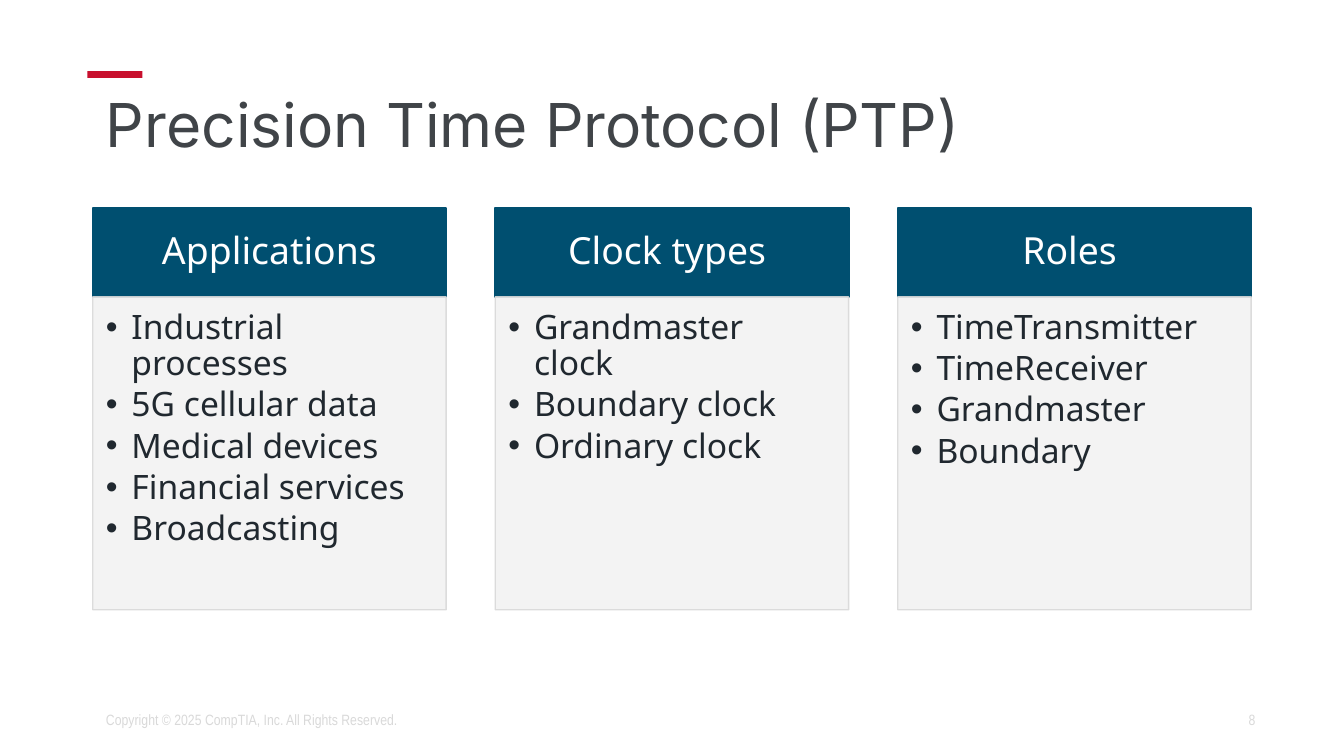
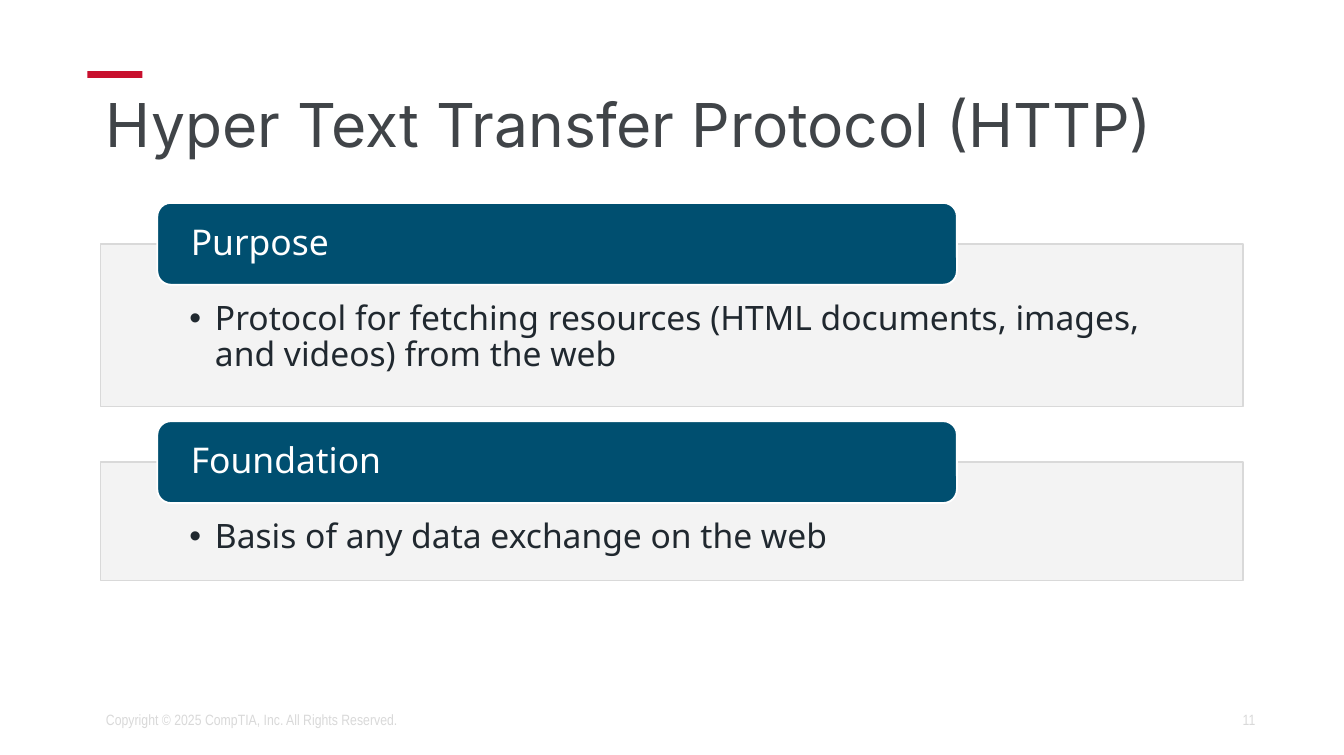
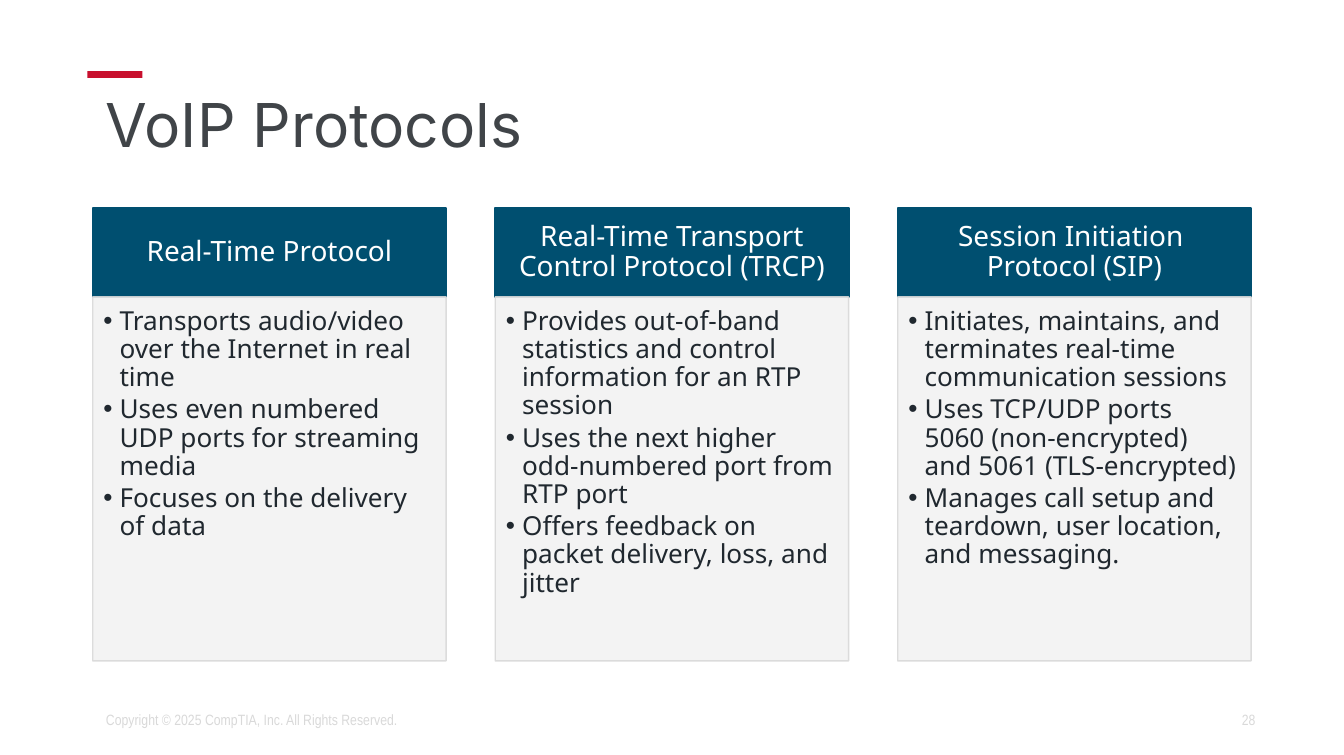
from lxml import etree
from pptx import Presentation
from pptx.dml.color import RGBColor
from pptx.enum import shapes, text
from pptx.oxml import ns
from pptx.util import Inches, Pt

HUES = {"red": "C8102E", "title": "404448", "foot": "D9D9D9", "blue": "004F70",
        "panel": "F2F2F2", "edge": "D9D9D9", "ink": "20282F", "white": "FFFFFF"}
SANS = "Noto Sans"
RECT = shapes.MSO_SHAPE.RECTANGLE
ROUND = shapes.MSO_SHAPE.ROUNDED_RECTANGLE
LEFT, MID, RIGHT = text.PP_ALIGN.LEFT, text.PP_ALIGN.CENTER, text.PP_ALIGN.RIGHT
TOP, CENTER = text.MSO_ANCHOR.TOP, text.MSO_ANCHOR.MIDDLE


def tint(name):
    return RGBColor.from_string(HUES[name])


def fade(fill, share):
    """Make a solid fill partly transparent."""
    color = fill._xPr.find(".//" + ns.qn("a:srgbClr"))
    etree.SubElement(color, ns.qn("a:alpha"), val=str(share * 1000))


def add_box(slide, box, fill, line=None, width=1, kind=RECT):
    shape = slide.shapes.add_shape(kind, *map(Inches, box))
    shape.shadow.inherit = False
    shape.fill.solid()
    shape.fill.fore_color.rgb = tint(fill)
    if line:
        shape.line.color.rgb = tint(line)
        shape.line.width = Pt(width)
    else:
        shape.line.fill.background()
    return shape


def add_panel(slide, box):
    panel = add_box(slide, box, "panel", "edge", 0.75)
    fade(panel.fill, 90)
    return panel


def add_bullet(para, indent):
    props = para._p.get_or_add_pPr()
    props.set("marL", str(Inches(indent)))
    props.set("indent", str(-Inches(indent)))
    etree.SubElement(props, ns.qn("a:buFont"), typeface="Arial")
    etree.SubElement(props, ns.qn("a:buChar"), char="•")


def write(shape, lines, size, color, font=SANS, align=LEFT, anchor=CENTER,
          inset=(0.1, 0.05, 0.1, 0.05), after=0, lead=0.9, indent=0):
    """Fill a shape with one paragraph per line; an indent adds bullets."""
    frame = shape.text_frame
    frame.word_wrap = True
    frame.vertical_anchor = anchor
    (frame.margin_left, frame.margin_top,
     frame.margin_right, frame.margin_bottom) = map(Inches, inset)
    for i, line in enumerate(lines):
        para = frame.add_paragraph() if i else frame.paragraphs[0]
        para.text = line
        para.alignment = align
        para.line_spacing = lead
        para.space_after = Pt(after)
        if indent:
            add_bullet(para, indent)
        for run in para.runs:
            run.font.size = Pt(size)
            run.font.name = font
            run.font.color.rgb = tint(color)


def add_label(slide, box, words, size, color, **style):
    write(slide.shapes.add_textbox(*map(Inches, box)), [words], size, color, **style)


def add_frame(deck, title, number):
    """Start a slide with the accent bar, title and footer."""
    slide = deck.slides.add_slide(deck.slide_layouts[6])
    add_box(slide, (0.65, 0.53, 0.41, 0.05), "red")
    add_label(slide, (0.69, 0.64, 8.62, 0.63), title, 32.4, "title", font="Inter")
    foot = {"size": 8, "color": "foot", "font": "Arial Narrow", "lead": 1}
    add_label(slide, (7.06, 5.21, 2.38, 0.3), str(number), align=RIGHT, **foot)
    add_label(slide, (0.69, 5.21, 4.31, 0.3),
              "Copyright © 2025 CompTIA, Inc. All Rights Reserved.", **foot)
    return slide


def add_columns(slide, box, columns, head, body, indent, pads):
    """Place equal columns, each a heading over a bulleted panel."""
    left, top, width, height = box
    wide, tall = 2.63, 0.66
    step = (width - wide) / (len(columns) - 1)
    for i, (name, points) in enumerate(columns):
        x = left + i * step
        band = add_box(slide, (x, top, wide, tall), "blue", "blue")
        write(band, [name], head, "white", align=MID, inset=pads[0])
        panel = add_panel(slide, (x, top + tall, wide, height - tall))
        fade(panel.line.fill, 90)
        write(panel, points, body, "ink", anchor=TOP, inset=pads[1],
              after=body * 0.15, indent=indent)


def add_stack(slide, box, sections):
    """Stack panels, each with a rounded tab across its top edge."""
    left, top, width = box
    tab, gap = 0.61, 0.11
    for name, points, height in sections:
        panel = add_panel(slide, (left, top + tab / 2, width, height))
        write(panel, points, 18, "ink", anchor=TOP, inset=(0.66, 0.43, 0.66, 0.14),
              after=2.7, indent=0.19)
        label = add_box(slide, (left + 0.42, top, width * 0.7, tab),
                        "blue", "white", kind=ROUND)
        write(label, [name], 19, "white", inset=(0.22, 0, 0.22, 0))
        top += tab / 2 + height + gap


def main():
    deck = Presentation()
    deck.slide_width, deck.slide_height = Inches(10), Inches(5.62)

    # Time protocol
    slide = add_frame(deck, "Precision Time Protocol (PTP)", 8)
    add_columns(slide, (0.69, 1.55, 8.62, 2.99), [
        ("Applications", ["Industrial processes", "5G cellular data", "Medical devices",
                          "Financial services", "Broadcasting"]),
        ("Clock types ", ["Grandmaster clock", "Boundary clock", "Ordinary clock"]),
        ("Roles ", ["TimeTransmitter", "TimeReceiver", "Grandmaster", "Boundary"]),
    ], head=20, body=18, indent=0.19,
        pads=((0.16, 0.09, 0.16, 0.09), (0.1, 0.1, 0.14, 0.16)))

    # Web protocol
    slide = add_frame(deck, "Hyper Text Transfer Protocol (HTTP)", 11)
    add_stack(slide, (0.75, 1.51, 8.5), [
        ("Purpose", ["Protocol for fetching resources (HTML documents, images, "
                     "and videos) from the web"], 1.21),
        ("Foundation", ["Basis of any data exchange on the web"], 0.88),
    ])

    # Voice protocols
    slide = add_frame(deck, "VoIP Protocols", 28)
    add_columns(slide, (0.69, 1.55, 8.62, 3.37), [
        ("Real-Time Protocol", [
            "Transports audio/video over the Internet in real time",
            "Uses even numbered UDP ports for streaming media",
            "Focuses on the delivery of data"]),
        ("Real-Time Transport Control Protocol (TRCP)", [
            "Provides out-of-band statistics and control information for an RTP session",
            "Uses the next higher odd-numbered port from RTP port",
            "Offers feedback on packet delivery, loss, and jitter"]),
        ("Session Initiation \vProtocol (SIP)", [
            "Initiates, maintains, and terminates real-time communication sessions",
            "Uses TCP/UDP ports 5060 (non-encrypted) and 5061 (TLS-encrypted)",
            "Manages call setup and teardown, user location, and messaging."]),
    ], head=15, body=14, indent=0.12,
        pads=((0.12, 0.07, 0.12, 0.07), (0.08, 0.08, 0.11, 0.12)))

    deck.save("out.pptx")


if __name__ == "__main__":
    main()
